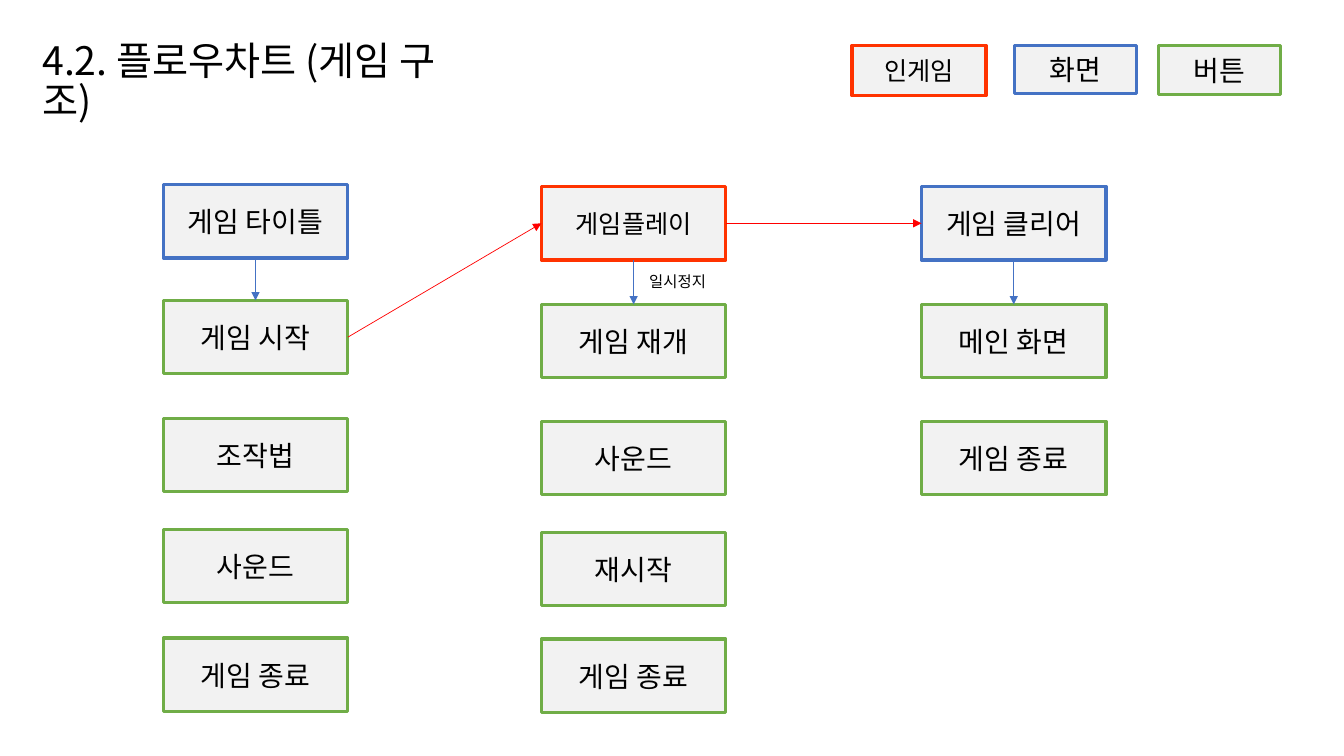
import pptx
import pptx.util
import pptx.oxml
import pptx.oxml.ns
import pptx.dml.color
import pptx.enum.shapes
import pptx.enum.text
from pptx.util import Inches

RGBColor = pptx.dml.color.RGBColor
PP_ALIGN = pptx.enum.text.PP_ALIGN
MSO_ANCHOR = pptx.enum.text.MSO_ANCHOR

BLACK = RGBColor(0x00, 0x00, 0x00)
BOX_FILL = RGBColor(0xF2, 0xF2, 0xF2)
SCREEN = RGBColor(0x44, 0x72, 0xC4)
BUTTON = RGBColor(0x70, 0xAD, 0x47)
IN_GAME = RGBColor(0xFF, 0x33, 0x00)
RED = RGBColor(0xFF, 0x00, 0x00)
FONT = "Noto Sans CJK KR"

TOP, LEFT, BOTTOM, RIGHT = range(4)  # connection sites of a rectangle
NODE_W, NODE_H = 1.83, 0.73


def write(tf, text, size=20, align=PP_ALIGN.CENTER, anchor=MSO_ANCHOR.MIDDLE,
          wrap=True, spacing=1.0):
    tf.word_wrap = wrap
    tf.auto_size = pptx.enum.text.MSO_AUTO_SIZE.NONE
    tf.vertical_anchor = anchor
    p = tf.paragraphs[0]
    p.alignment = align
    p.line_spacing = spacing
    r = p.add_run()
    r.text = text
    r.font.size = pptx.util.Pt(size)
    r.font.name = FONT
    r.font.color.rgb = BLACK
    ea = pptx.oxml.parse_xml(
        f'<a:ea {pptx.oxml.ns.nsdecls("a")} typeface="{FONT}"/>')
    r.font._element.find(pptx.oxml.ns.qn("a:latin")).addnext(ea)


def add_node(s, text, color, left, top, width=NODE_W, height=NODE_H):
    sp = s.shapes.add_shape(pptx.enum.shapes.MSO_SHAPE.RECTANGLE, Inches(left),
                            Inches(top), Inches(width), Inches(height))
    sp.shadow.inherit = False
    sp.fill.solid()
    sp.fill.fore_color.rgb = BOX_FILL
    sp.line.color.rgb = color
    sp.line.width = pptx.util.Pt(2.25)
    write(sp.text_frame, text, size=18 if color == IN_GAME else 20)
    return sp


def add_arrow(s, start, start_site, end, end_site, color, width=0.5):
    line = s.shapes.add_connector(pptx.enum.shapes.MSO_CONNECTOR.STRAIGHT, 0, 0, 0, 0)
    line.begin_connect(start, start_site)
    line.end_connect(end, end_site)
    line.line.color.rgb = color
    line.line.width = pptx.util.Pt(width)
    ns = pptx.oxml.ns.nsdecls("a")
    line.line._get_or_add_ln().append(
        pptx.oxml.parse_xml(f'<a:tailEnd {ns} type="triangle"/>'))
    line._element.spPr.append(pptx.oxml.parse_xml(f"<a:effectLst {ns}/>"))


def add_title(s, left, top, width, height):
    title = s.shapes.title
    title.left, title.top = Inches(left), Inches(top)
    title.width, title.height = Inches(width), Inches(height)
    write(title.text_frame, "4.2. 플로우차트 (게임 구조)", size=28,
          align=PP_ALIGN.LEFT, anchor=MSO_ANCHOR.TOP, spacing=0.85)


def add_legend(s, left, top):
    entries = [("인게임", IN_GAME, 0, 1.33, 0.5),
               ("화면", SCREEN, 1.61, 1.21, 0.48),
               ("버튼", BUTTON, 3.04, 1.21, 0.49)]
    for text, color, dx, width, height in entries:
        add_node(s, text, color, left + dx, top, width, height)


def add_column(s, left, top, head, color, buttons, offsets, arrow_width=0.5):
    """Place a head node with its buttons below; return head and first button."""
    head_node = add_node(s, head, color, left, top)
    nodes = [add_node(s, text, BUTTON, left, top + dy)
             for text, dy in zip(buttons, offsets)]
    add_arrow(s, head_node, BOTTOM, nodes[0], TOP, SCREEN, arrow_width)
    return head_node, nodes[0]


def add_pause_label(s, left, top):
    box = s.shapes.add_textbox(Inches(left), Inches(top), Inches(0.82), Inches(0.29))
    write(box.text_frame, "일시정지", size=11, align=PP_ALIGN.LEFT,
          anchor=MSO_ANCHOR.TOP, wrap=False)


def add_flowchart(s, left, top):
    offsets = (1.17, 2.33, 3.43, 4.49)
    _, start = add_column(s, left, top, "게임 타이틀", SCREEN,
                          ["게임 시작", "조작법", "사운드", "게임 종료"],
                          (1.15, 2.32, 3.42, 4.5), arrow_width=1)
    play, _ = add_column(s, left + 3.75, top + 0.02, "게임플레이", IN_GAME,
                         ["게임 재개", "사운드", "재시작", "게임 종료"], offsets)
    clear, _ = add_column(s, left + 7.52, top + 0.02, "게임 클리어", SCREEN,
                          ["메인 화면", "게임 종료"], offsets)
    add_arrow(s, start, RIGHT, play, LEFT, RED)
    add_arrow(s, play, RIGHT, clear, LEFT, RED)
    add_pause_label(s, left + 4.72, top + 0.82)


def main():
    prs = pptx.Presentation()
    prs.slide_width, prs.slide_height = Inches(13.33), Inches(7.5)
    s = prs.slides.add_slide(prs.slide_layouts[5])
    add_title(s, 0.32, 0.38, 4.56, 1.05)
    add_legend(s, 8.45, 0.45)
    add_flowchart(s, 1.62, 1.83)
    prs.save("out.pptx")


if __name__ == "__main__":
    main()
